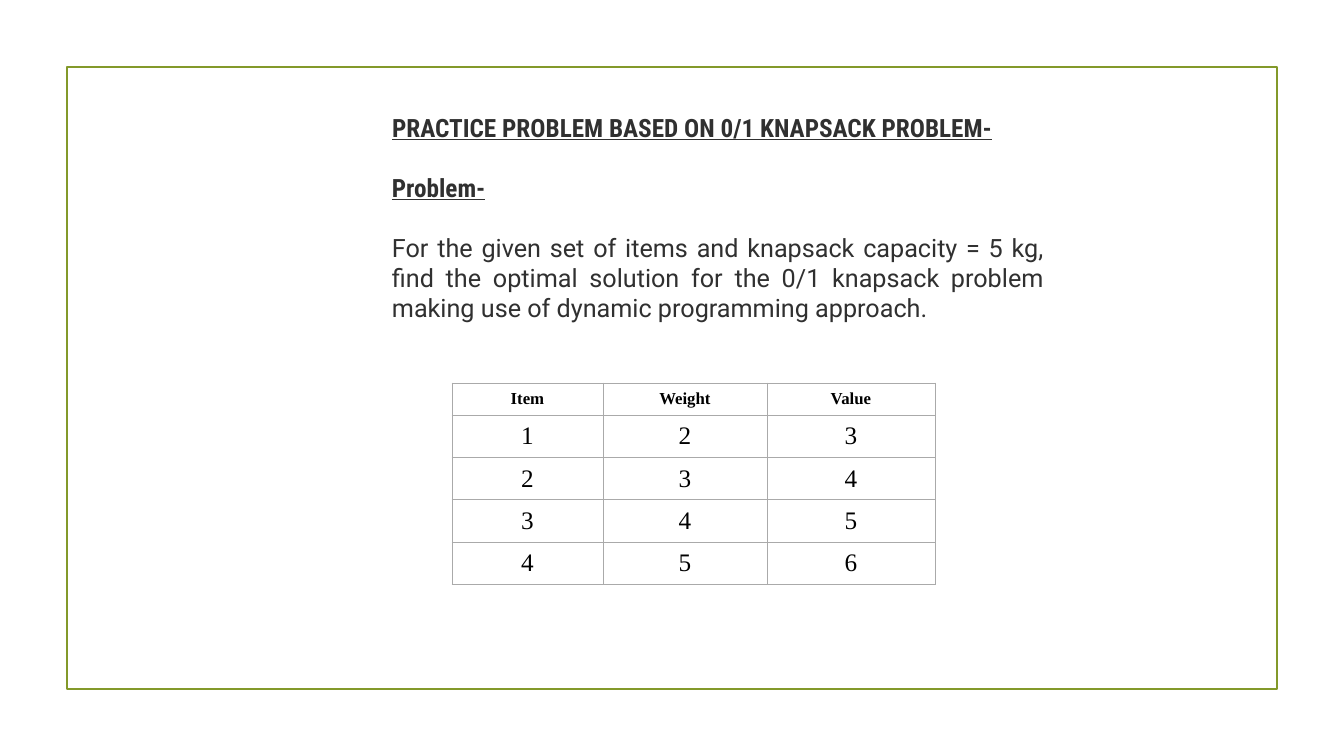
from lxml.etree import SubElement
from pptx import Presentation
from pptx.dml.color import RGBColor
from pptx.enum.shapes import MSO_SHAPE
from pptx.enum.text import MSO_ANCHOR, MSO_AUTO_SIZE, PP_ALIGN
from pptx.oxml.ns import qn
from pptx.util import Emu, Pt

COLORS = {"frame": "83992A", "text": "303030", "cell": "FFFFFF",
          "cell_text": "000000", "border": "AAAAAA"}


def px(count):
    return Emu(round(count * 914400 / 100.8))


def style(paragraph, font_name, size, color, bold=False, underline=False):
    for span in paragraph.runs:
        span.font.name = font_name
        span.font.size = Pt(size)
        span.font.bold = bold
        span.font.underline = underline
        span.font.color.rgb = RGBColor.from_string(COLORS[color])


deck = Presentation()
deck.slide_width, deck.slide_height = px(1344), px(756)
page = deck.slides.add_slide(deck.slide_layouts[5])

# Title
title = page.shapes.title
title.left, title.top, title.width, title.height = px(382), px(107), px(672), px(40)
title.text_frame.text = "PRACTICE PROBLEM BASED ON 0/1 KNAPSACK PROBLEM-"
title.text_frame.vertical_anchor = MSO_ANCHOR.TOP
title.text_frame.auto_size = MSO_AUTO_SIZE.NONE
heading = title.text_frame.paragraphs[0]
heading.alignment = PP_ALIGN.LEFT
style(heading, "Roboto Condensed", 18, "text", bold=True, underline=True)

# Frame
frame = page.shapes.add_shape(MSO_SHAPE.RECTANGLE, px(67), px(67), px(1210), px(622))
frame.shadow.inherit = False
frame.fill.background()
frame.line.color.rgb = RGBColor.from_string(COLORS["frame"])
frame.line.width = Pt(1.25)

# Problem statement
box = page.shapes.add_textbox(px(382), px(167), px(672), px(164))
box.text_frame.word_wrap = True
label = box.text_frame.paragraphs[0]
label.text = "Problem-"
style(label, "Roboto Condensed", 18, "text", bold=True, underline=True)
statement = box.text_frame.add_paragraph()
statement.text = ("For the given set of items and knapsack capacity = 5 kg, find the "
                  "optimal solution for the 0/1 knapsack problem making use of "
                  "dynamic programming approach.")
statement.alignment = PP_ALIGN.JUSTIFY
statement.space_before = Pt(21.5)
style(statement, "Roboto", 18, "text")

# Item table: each item weighs one more than its number and is worth two more
rows = [("Item", "Weight", "Value")]
rows += [(str(item), str(item + 1), str(item + 2)) for item in range(1, 5)]
widths = [151, 164, 168]
heights = [32] + [41] * 4
table = page.shapes.add_table(len(rows), len(widths), px(452), px(383),
                              px(sum(widths)), px(sum(heights))).table
table.horz_banding = False
for column, width in zip(table.columns, widths):
    column.width = px(width)

for row_index, values in enumerate(rows):
    table.rows[row_index].height = px(heights[row_index])
    is_header = row_index == 0
    for column_index, value in enumerate(values):
        cell = table.cell(row_index, column_index)
        cell.text_frame.text = value
        cell.vertical_anchor = MSO_ANCHOR.MIDDLE
        cell.margin_left = cell.margin_right = px(7)
        cell.margin_top = cell.margin_bottom = px(6)
        paragraph = cell.text_frame.paragraphs[0]
        paragraph.alignment = PP_ALIGN.CENTER
        style(paragraph, "Times New Roman", 12 if is_header else 18,
              "cell_text", bold=is_header)
        # Borders come before the fill in the cell properties
        properties = cell._tc.get_or_add_tcPr()
        for side in ("a:lnL", "a:lnR", "a:lnT", "a:lnB"):
            border = SubElement(properties, qn(side), w=str(Pt(0.5)))
            border_fill = SubElement(border, qn("a:solidFill"))
            SubElement(border_fill, qn("a:srgbClr"), val=COLORS["border"])
        cell.fill.solid()
        cell.fill.fore_color.rgb = RGBColor.from_string(COLORS["cell"])

deck.save("out.pptx")
